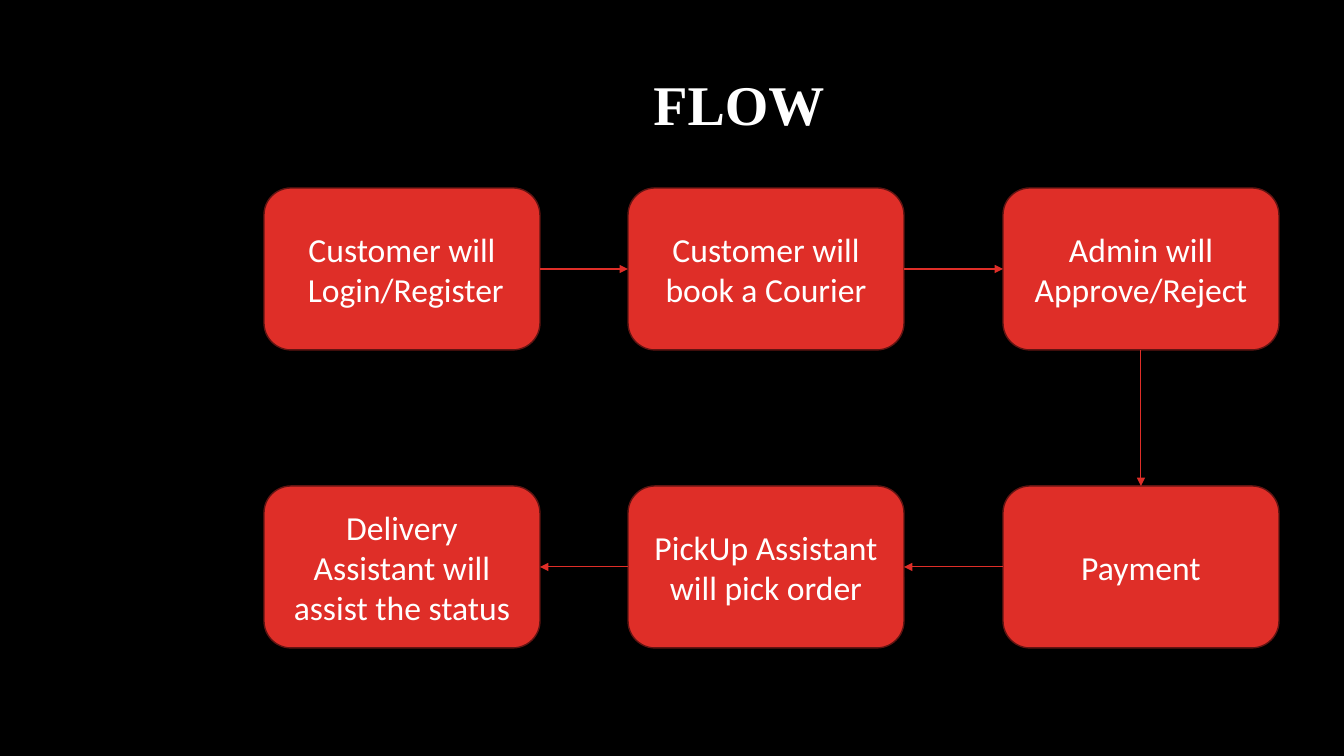
"""Build the courier booking flow slide."""
from dataclasses import dataclass
from itertools import pairwise

from lxml import etree
from pptx import Presentation
from pptx.dml.color import RGBColor
from pptx.enum.shapes import MSO_CONNECTOR, MSO_SHAPE
from pptx.enum.text import MSO_ANCHOR, MSO_AUTO_SIZE, PP_ALIGN
from pptx.oxml.ns import qn
from pptx.shapes.autoshape import Shape
from pptx.slide import Slide
from pptx.text.text import TextFrame
from pptx.util import Emu, Pt

ROUND = MSO_SHAPE.ROUNDED_RECTANGLE
STRAIGHT = MSO_CONNECTOR.STRAIGHT
MIDDLE = MSO_ANCHOR.MIDDLE
NO_FIT = MSO_AUTO_SIZE.NONE
CENTER = PP_ALIGN.CENTER

SCALE = 914400 / 100.8
COLORS = {"back": "000000", "box": "DF2E28", "edge": "621412", "text": "FFFFFF"}
COLS = (264, 628, 1003)
ROWS = (188, 486)
WIDTH, HEIGHT = 276, 162
TOP, LEFT, BOTTOM, RIGHT = range(4)


@dataclass(frozen=True)
class Step:
    """A box of the flow, with the side its arrow leaves and the side one enters."""
    text: str
    col: int
    row: int
    enter: int
    leave: int


STEPS = (
    Step("Customer will\n Login/Register", 0, 0, LEFT, RIGHT),
    Step("Customer will book a Courier", 1, 0, LEFT, RIGHT),
    Step("Admin will Approve/Reject", 2, 0, LEFT, BOTTOM),
    Step("Payment", 2, 1, TOP, LEFT),
    Step("PickUp Assistant will pick order", 1, 1, RIGHT, LEFT),
    Step("Delivery Assistant will assist the status", 0, 1, RIGHT, LEFT),
)


def px(count: int) -> Emu:
    """Turn pixels into EMU."""
    return Emu(round(count * SCALE))


def color(name: str) -> RGBColor:
    """Look up a named colour."""
    return RGBColor.from_string(COLORS[name])


def write(frame: TextFrame, text: str, font: str, size: int, bold: bool = False) -> None:
    """Fill a frame with centred text."""
    frame.text = text
    frame.word_wrap = True
    frame.auto_size = NO_FIT
    frame.vertical_anchor = MIDDLE
    for para in frame.paragraphs:
        para.alignment = CENTER
        para.font.name = font
        para.font.size = Pt(size)
        para.font.bold = bold
        para.font.color.rgb = color("text")


def add_title(slide: Slide) -> None:
    """Place and format the title."""
    title = slide.shapes.title
    title.left, title.top = px(264), px(36)
    title.width, title.height = px(950), px(142)
    write(title.text_frame, "FLOW", "Times New Roman", 40, True)
    title.text_frame.paragraphs[0].line_spacing = 0.9


def add_box(slide: Slide, step: Step) -> Shape:
    """Draw the box of one step."""
    box = slide.shapes.add_shape(
        ROUND, px(COLS[step.col]), px(ROWS[step.row]), px(WIDTH), px(HEIGHT)
    )
    box.shadow.inherit = False
    box.fill.solid()
    box.fill.fore_color.rgb = color("box")
    box.line.color.rgb = color("edge")
    box.line.width = Pt(1)
    write(box.text_frame, step.text, "Calibri", 24)
    return box


def add_arrow(slide: Slide, start: Shape, leave: int, end: Shape, enter: int) -> None:
    """Join two boxes with an arrow."""
    arrow = slide.shapes.add_connector(STRAIGHT, 0, 0, 0, 0)
    arrow.begin_connect(start, leave)
    arrow.end_connect(end, enter)
    arrow.line.color.rgb = color("box")
    arrow.line.width = Pt(0.75)
    props = arrow.element.spPr
    etree.SubElement(props.find(qn("a:ln")), qn("a:tailEnd"), type="triangle")
    etree.SubElement(props, qn("a:effectLst"))


def main() -> None:
    """Build and save the slide."""
    deck = Presentation()
    deck.slide_width, deck.slide_height = px(1344), px(756)
    slide = deck.slides.add_slide(deck.slide_layouts.get_by_name("Title Only"))
    slide.background.fill.solid()
    slide.background.fill.fore_color.rgb = color("back")
    add_title(slide)
    boxes = [add_box(slide, step) for step in STEPS]
    for (start, prior), (end, step) in pairwise(zip(boxes, STEPS)):
        add_arrow(slide, start, prior.leave, end, step.enter)
    deck.save("out.pptx")


if __name__ == "__main__":
    main()
